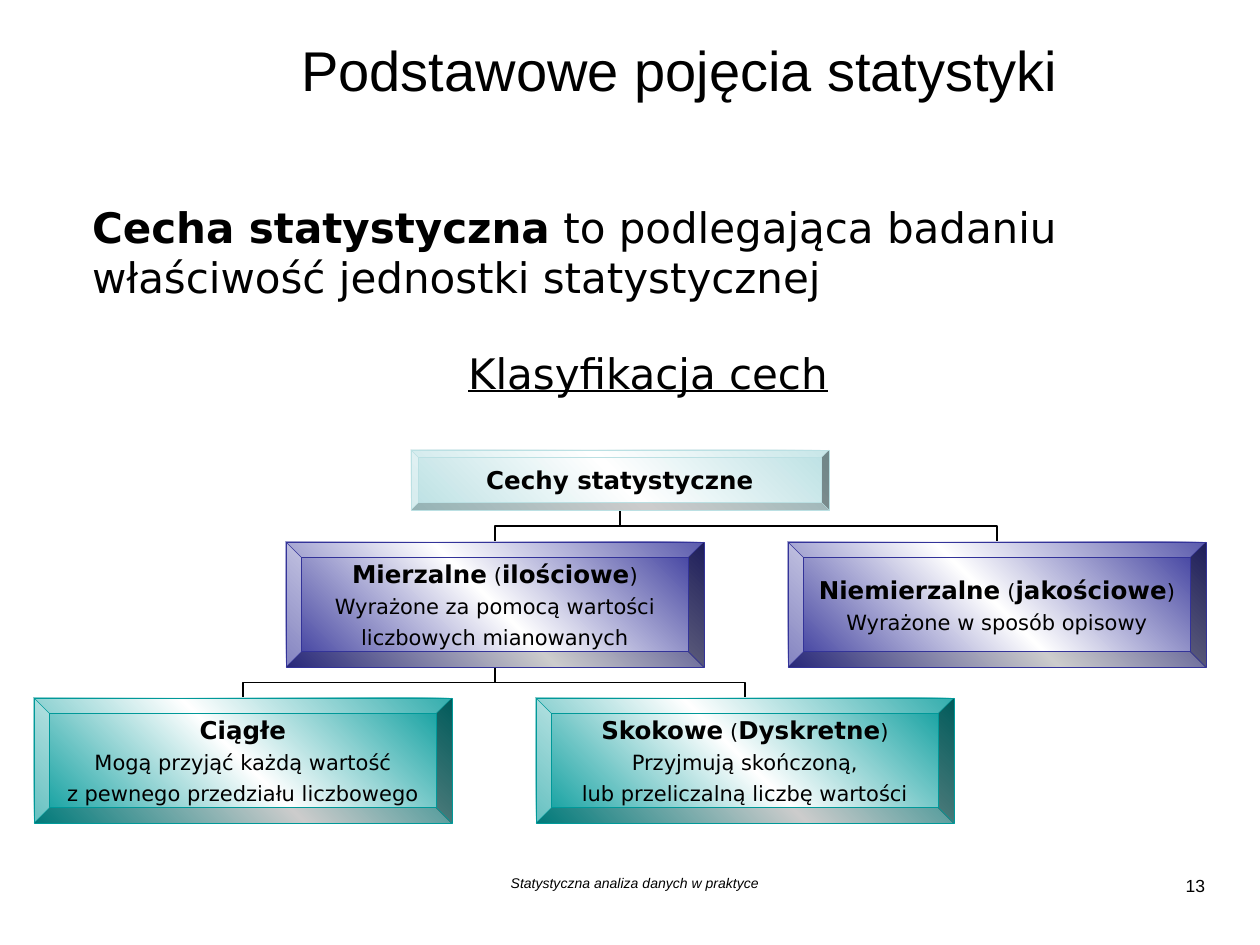
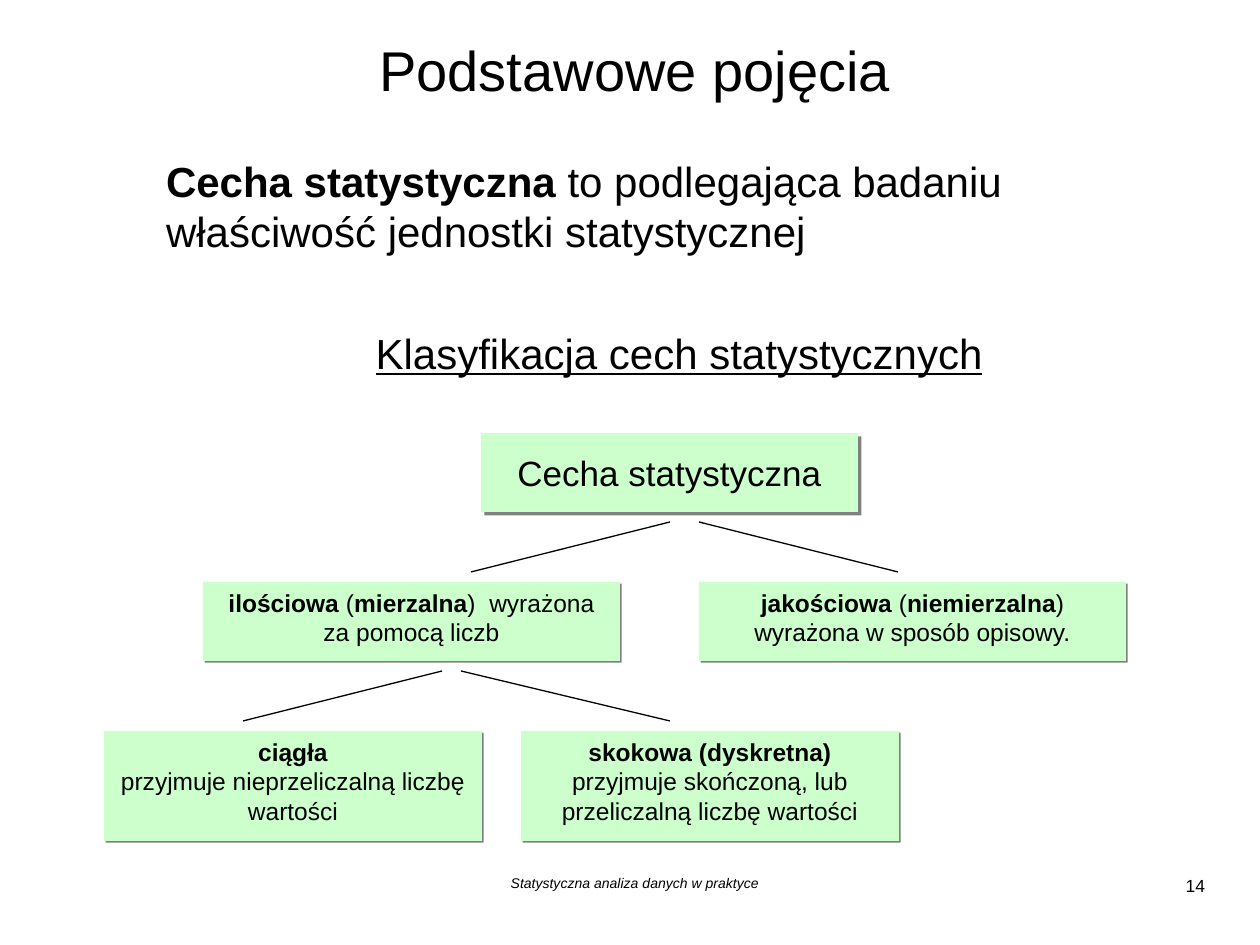
"""Build two slides that classify statistical features as tree diagrams."""
from copy import deepcopy

from lxml.etree import SubElement
from pptx import Presentation
from pptx.dml.color import RGBColor
from pptx.enum.shapes import MSO_CONNECTOR, MSO_SHAPE
from pptx.enum.text import MSO_ANCHOR, MSO_AUTO_SIZE, PP_ALIGN
from pptx.oxml.ns import qn
from pptx.util import Pt

SCALE = 914400 / 126
BLACK = RGBColor(0x00, 0x00, 0x00)
WHITE = RGBColor(0xFF, 0xFF, 0xFF)
PALE_BLUE = RGBColor(0xBB, 0xE0, 0xE3)
INDIGO = RGBColor(0x33, 0x33, 0x99)
TEAL = RGBColor(0x00, 0x99, 0x99)
MINT = RGBColor(0xCC, 0xFF, 0xCC)
SHADOW_GRAY = "808080"
SANS = "Arial"
WIDE_SANS = "DejaVu Sans"
FOOTER = "Statystyczna analiza danych w praktyce"
DEFINITION = [("Cecha statystyczna", 24, "b"),
              (" to podlegająca badaniu właściwość jednostki statystycznej", 24, "")]


def emu(px):
    return round(px * SCALE)


class SlideBuilder:
    """Hold the shared style and the current slide."""

    def __init__(self):
        self.deck = Presentation()
        self.deck.slide_width, self.deck.slide_height = emu(1260), emu(945)
        self.page = None

    def start_page(self, title, title_width, number):
        self.page = self.deck.slides.add_slide(self.deck.slide_layouts[1])
        heading = self.page.shapes.title
        self.place(heading, 164, 26, title_width, 87)
        self.fill_text(heading, [[(title, 32, "")]], anchor=MSO_ANCHOR.MIDDLE)
        self.text_box(253, 869, 764, 39, [[(FOOTER, 8, "i")]])
        self.text_box(1137, 869, 81, 39, [[(str(number), 10, "")]], aligns=[PP_ALIGN.RIGHT])

    def place(self, shape, left, top, width, height):
        shape.left, shape.top = emu(left), emu(top)
        shape.width, shape.height = emu(width), emu(height)

    def fill_text(self, shape, paragraphs, font=SANS, aligns=(), before=0, margin=0,
                  anchor=MSO_ANCHOR.TOP, insets=(13, 6), wrap=True):
        frame = shape.text_frame
        frame.auto_size = MSO_AUTO_SIZE.NONE
        frame.word_wrap = wrap
        frame.vertical_anchor = anchor
        frame.margin_left = frame.margin_right = emu(insets[0])
        frame.margin_top = frame.margin_bottom = emu(insets[1])
        for index, runs in enumerate(paragraphs):
            para = frame.add_paragraph() if index else frame.paragraphs[0]
            properties = para._p.get_or_add_pPr()
            properties.set("marL", str(emu(margin)))
            properties.set("indent", "0")
            SubElement(properties, qn("a:buNone"))
            para.alignment = aligns[index] if aligns else PP_ALIGN.CENTER
            para.space_before = Pt(before if index else 0)
            for text, size, marks in runs:
                span = para.add_run()
                span.text = text
                span.font.name = font
                span.font.size = Pt(size)
                span.font.color.rgb = BLACK
                span.font.bold = "b" in marks
                span.font.italic = "i" in marks
                span.font.underline = "u" in marks

    def text_box(self, left, top, width, height, paragraphs, **style):
        box = self.page.shapes.add_textbox(emu(left), emu(top), emu(width), emu(height))
        self.fill_text(box, paragraphs, **style)

    def body(self, left, top, width, height, paragraphs, **style):
        box = self.page.placeholders[1]
        self.place(box, left, top, width, height)
        self.fill_text(box, paragraphs, **style)
        return box

    def bevel(self, left, top, width, height, color, paragraphs):
        box = self.page.shapes.add_shape(
            MSO_SHAPE.BEVEL, emu(left), emu(top), emu(width), emu(height))
        box.shadow.inherit = False
        box.fill.gradient()
        stop_list = next(box.element.iter(qn("a:gsLst")))
        stop_list.append(deepcopy(stop_list[0]))
        for index, stop in enumerate(box.fill.gradient_stops):
            stop.position = index / 2
            stop.color.rgb = WHITE if index == 1 else color
        box.fill.gradient_angle = 225
        box.line.color.rgb = color
        box.line.width = Pt(0.25)
        self.fill_text(box, paragraphs, font=WIDE_SANS, before=3,
                       anchor=MSO_ANCHOR.MIDDLE, insets=(4, 3), wrap=False)

    def mint_panel(self, box, distance):
        box.fill.solid()
        box.fill.fore_color.rgb = MINT
        box.line.fill.background()
        box.shadow.inherit = False
        effects = box.element.spPr.find(qn("a:effectLst"))
        shadow = SubElement(effects, qn("a:outerShdw"), dist=str(Pt(distance)),
                            dir="2700000", algn="ctr", rotWithShape="0")
        SubElement(shadow, qn("a:srgbClr"), val=SHADOW_GRAY)

    def mint_box(self, left, top, width, height, paragraphs):
        box = self.page.shapes.add_shape(
            MSO_SHAPE.RECTANGLE, emu(left), emu(top), emu(width), emu(height))
        self.mint_panel(box, 1.4)
        self.fill_text(box, paragraphs)

    def line(self, x1, y1, x2, y2, kind=MSO_CONNECTOR.STRAIGHT):
        link = self.page.shapes.add_connector(kind, emu(x1), emu(y1), emu(x2), emu(y2))
        link.line.color.rgb = BLACK
        link.line.width = Pt(0.75)
        SubElement(link.element.spPr, qn("a:effectLst"))
        return link

    def branch(self, parent_x, parent_y, child_x, child_y):
        """Draw an elbow that leaves the parent downwards."""
        middle_x, middle_y = (parent_x + child_x) / 2, (parent_y + child_y) / 2
        turn = 1 if child_x < parent_x else -1
        half_drop = turn * (child_y - parent_y) / 2
        half_span = abs(child_x - parent_x) / 2
        link = self.line(middle_x - half_drop, middle_y - half_span,
                         middle_x + half_drop, middle_y + half_span, MSO_CONNECTOR.ELBOW)
        link.element.spPr.find(qn("a:xfrm")).set("rot", str(turn % 4 * 90 * 60000))


def heading_runs(name, other=None):
    runs = [(name, 14, "b")]
    if other:
        runs += [(" (", 12, ""), (other, 14, "b"), (")", 12, "")]
    return runs


def build_bevel_tree(builder):
    builder.start_page("Podstawowe pojęcia statystyki", 1032, 13)
    builder.body(54, 195, 1163, 220, [DEFINITION, [("Klasyfikacja cech", 24, "u")]],
                 font=WIDE_SANS, aligns=[PP_ALIGN.LEFT, PP_ALIGN.CENTER], before=26, margin=25)
    width, height, pitch = 418, 125, 502
    root_left, kind_left, type_left = 411, 286, 34
    root_top, kind_top, type_top = 450, 542, 698
    root_height = 60
    half = width // 2
    for column in range(2):
        builder.branch(root_left + half, root_top + root_height,
                       kind_left + column * pitch + half, kind_top)
        builder.branch(kind_left + half, kind_top + height,
                       type_left + column * pitch + half, type_top)
    builder.bevel(root_left, root_top, width, root_height, PALE_BLUE,
                  [heading_runs("Cechy statystyczne")])
    rows = [
        (kind_left, kind_top, INDIGO, [
            (heading_runs("Mierzalne", "ilościowe"),
             ["Wyrażone za pomocą wartości", "liczbowych mianowanych"]),
            (heading_runs("Niemierzalne", "jakościowe"), ["Wyrażone w sposób opisowy"])]),
        (type_left, type_top, TEAL, [
            (heading_runs("Ciągłe"),
             ["Mogą przyjąć każdą wartość", "z pewnego przedziału liczbowego"]),
            (heading_runs("Skokowe", "Dyskretne"),
             ["Przyjmują skończoną,", "lub przeliczalną liczbę wartości"])]),
    ]
    for left, top, color, nodes in rows:
        for column, (heading, details) in enumerate(nodes):
            builder.bevel(left + column * pitch, top, width, height, color,
                          [heading] + [[(detail, 12, "")] for detail in details])


def build_mint_tree(builder):
    builder.start_page("Podstawowe pojęcia", 942, 14)
    root = builder.body(481, 433, 377, 79, [[("Cecha statystyczna", 20, "")]],
                        anchor=MSO_ANCHOR.MIDDLE)
    builder.mint_panel(root, 2.8)
    builder.mint_box(203, 582, 417, 79, [
        [("ilościowa", 14, "b"), (" (", 14, ""), ("mierzalna", 14, "b"),
         (")  wyrażona za pomocą liczb", 14, "")]])
    builder.mint_box(699, 582, 427, 79, [
        [("jakościowa", 14, "b"), (" (", 14, ""), ("niemierzalna", 14, "b"),
         (") wyrażona w sposób opisowy.", 14, "")]])
    builder.mint_box(521, 731, 378, 110, [
        [("skokowa (dyskretna) ", 14, "b"),
         ("przyjmuje skończoną, lub przeliczalną liczbę wartości", 14, "")]])
    builder.mint_box(104, 731, 378, 110, [
        [("ciągła", 14, "b")], [("przyjmuje nieprzeliczalną liczbę wartości", 14, "")]])
    for top, ends in ((522, ((670, 471), (699, 898))), (671, ((442, 243), (461, 670)))):
        for start_x, end_x in ends:
            builder.line(start_x, top, end_x, top + 50)
    builder.text_box(104, 149, 1101, 236,
                     [DEFINITION, [("Klasyfikacja cech statystycznych", 24, "u")]],
                     aligns=[PP_ALIGN.LEFT, PP_ALIGN.CENTER], before=41, margin=49)


def main():
    builder = SlideBuilder()
    build_bevel_tree(builder)
    build_mint_tree(builder)
    builder.deck.save("out.pptx")


if __name__ == "__main__":
    main()
